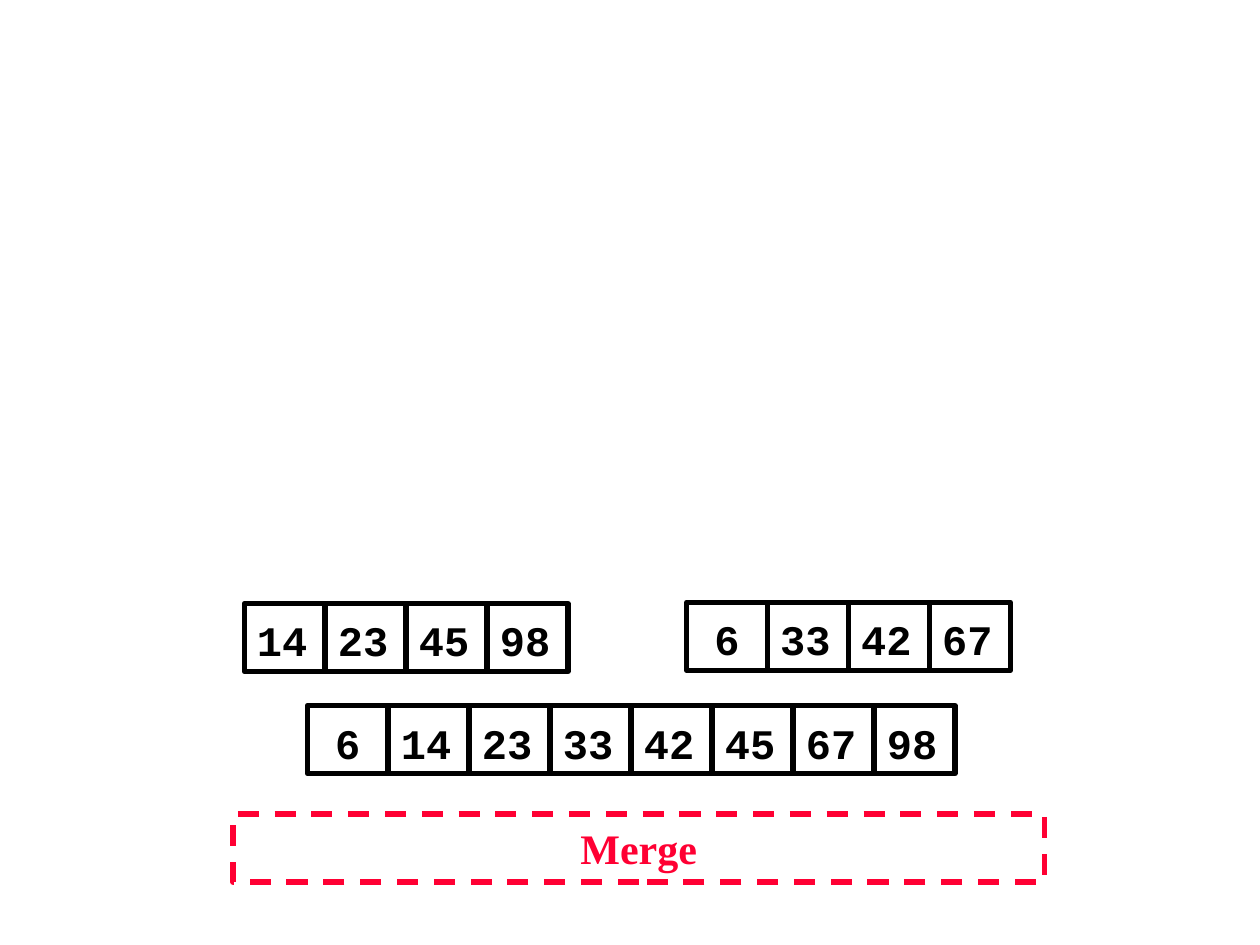
from pptx import Presentation
from pptx.dml.color import RGBColor
from pptx.enum.dml import MSO_LINE
from pptx.enum.shapes import MSO_SHAPE
from pptx.enum.text import MSO_ANCHOR, PP_ALIGN
from pptx.util import Inches, Pt

RECTANGLE = MSO_SHAPE.RECTANGLE
DASH = MSO_LINE.DASH
MIDDLE, BOTTOM = MSO_ANCHOR.MIDDLE, MSO_ANCHOR.BOTTOM
LEFT, CENTER = PP_ALIGN.LEFT, PP_ALIGN.CENTER

BLACK, RED = "000000", "FF0033"
CELL_WIDTH, CELL_PITCH, ROW_HEIGHT = 0.64, 0.643, 0.54
ARRAYS = [
    (1.94, 4.79, [14, 23, 45, 98]),
    (5.45, 4.78, [6, 33, 42, 67]),
    (2.44, 5.6, [6, 14, 23, 33, 42, 45, 67, 98]),
]
MERGE_STEP = ("Merge", 1.85, 6.46, 6.44)


def rgb(color):
    """Turn a hex string into a colour."""
    return RGBColor.from_string(color)


def add_box(slide, text, left, top, width, color, font_name, align, anchor, wrap):
    """Add an unfilled outlined rectangle with bold text."""
    box = slide.shapes.add_shape(
        RECTANGLE, Inches(left), Inches(top), Inches(width), Inches(ROW_HEIGHT))
    box.shadow.inherit = False
    box.fill.background()
    box.line.color.rgb = rgb(color)
    box.line.width = Pt(3)
    frame = box.text_frame
    frame.word_wrap = wrap
    frame.vertical_anchor = anchor
    paragraph = frame.paragraphs[0]
    paragraph.alignment = align
    run = paragraph.add_run()
    run.text = text
    for key, value in {"name": font_name, "size": Pt(24), "bold": True}.items():
        setattr(run.font, key, value)
    run.font.color.rgb = rgb(color)
    return box


def main():
    """Build the merge step slide."""
    deck = Presentation()
    deck.slide_width, deck.slide_height = Inches(10), Inches(7.5)
    slide = deck.slides.add_slide(deck.slide_layouts[6])

    label, left, top, width = MERGE_STEP
    merge = add_box(slide, label, left, top, width, RED,
                    "Times New Roman", CENTER, MIDDLE, True)
    merge.line.dash_style = DASH

    for left, top, numbers in ARRAYS:
        for index, number in enumerate(numbers):
            align = CENTER if number < 10 else LEFT
            add_box(slide, str(number), left + index * CELL_PITCH, top, CELL_WIDTH,
                    BLACK, "Courier New", align, BOTTOM, False)

    deck.save("out.pptx")


if __name__ == "__main__":
    main()
